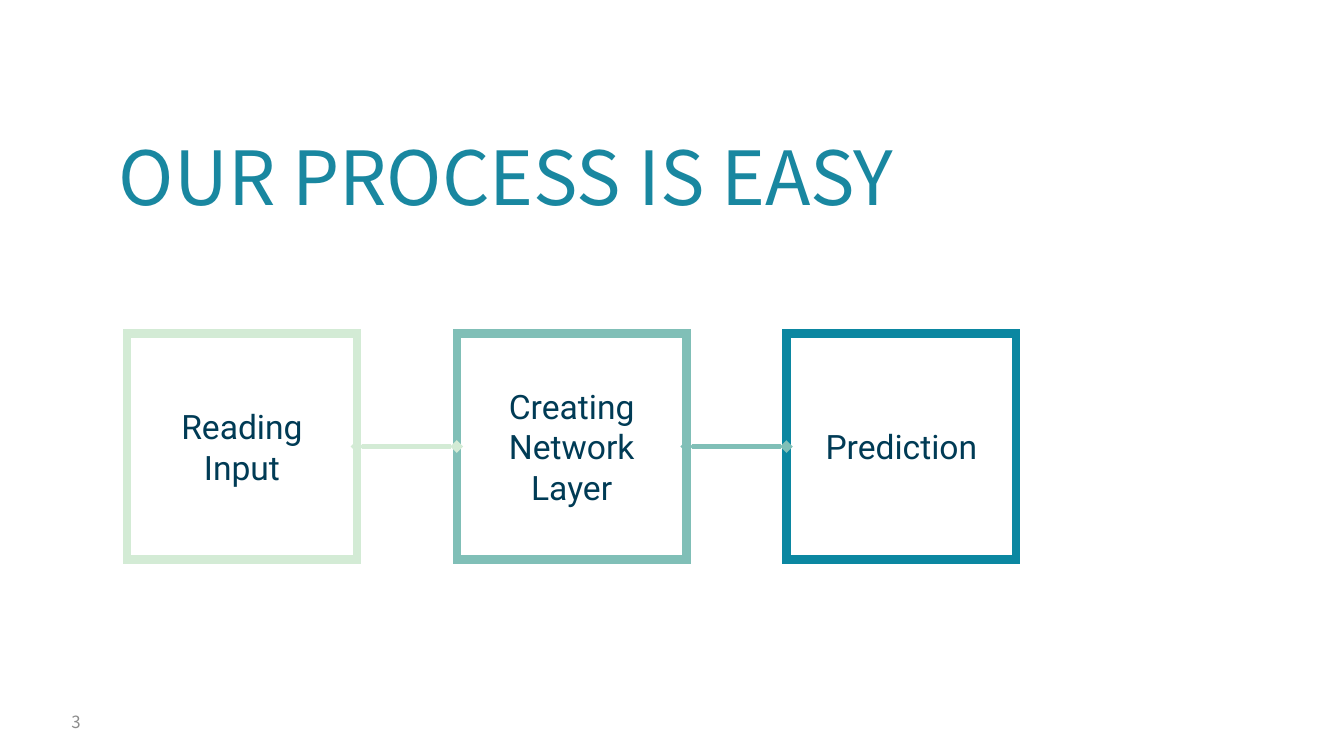
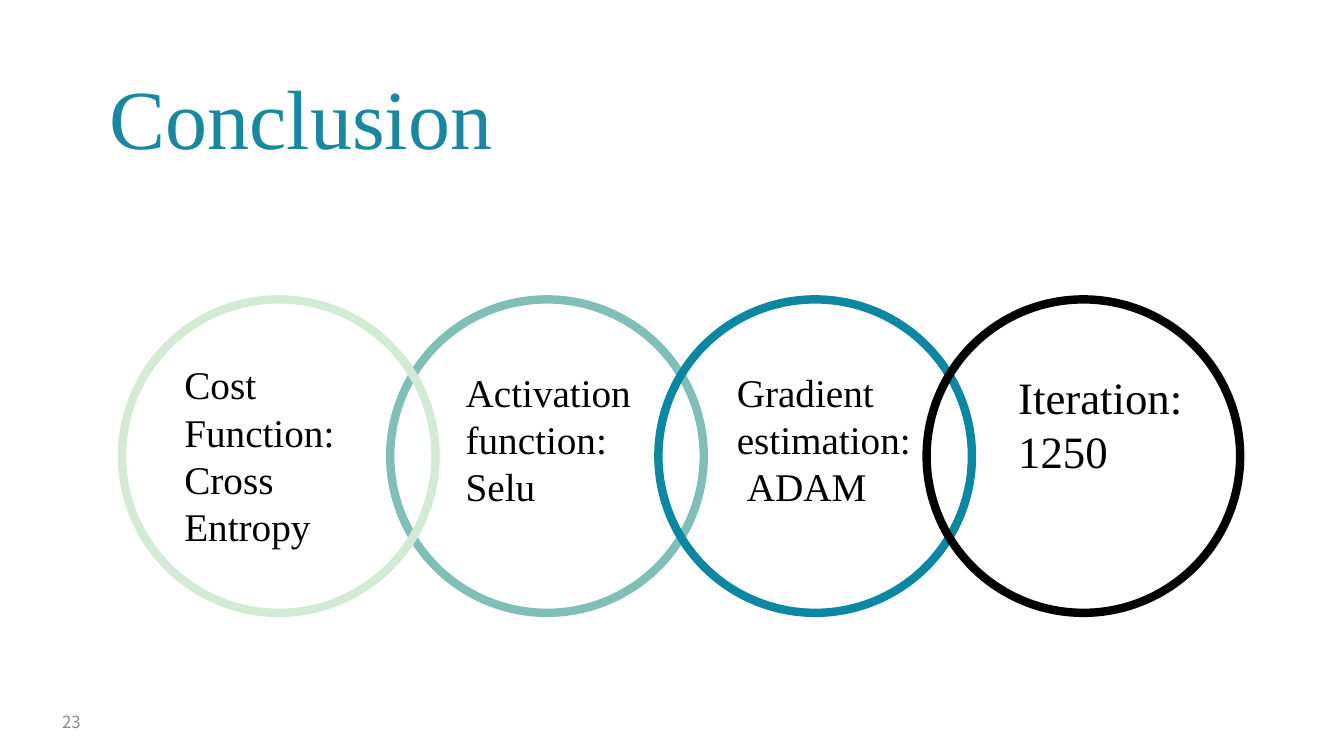
from lxml import etree
from pptx import Presentation, util as u
from pptx.dml.color import RGBColor
from pptx.enum import shapes, text
from pptx.oxml.ns import qn

MINT, SAGE, TEAL, BLACK = "D3EBD5", "80BFB7", "0B87A1", "000000"
HEAD, NAVY, GREY = "1987A0", "003B55", "8C8C8C"
SANS, BODY, SERIF = "Noto Sans CJK SC", "Roboto", "Times New Roman"
LEFT, MID, RIGHT = text.PP_ALIGN.LEFT, text.PP_ALIGN.CENTER, text.PP_ALIGN.RIGHT
KIND = shapes.MSO_SHAPE

deck = Presentation()
deck.slide_width, deck.slide_height = u.Inches(13.33), u.Inches(7.5)


def write(shape, lines, size, face, color, align=LEFT, anchor="TOP", pad=(0.1, 0.05), lead=None):
    """Fill a shape with one paragraph per line; pad is (side, top) in inches."""
    frame = shape.text_frame
    frame.word_wrap = True
    frame.vertical_anchor = text.MSO_ANCHOR[anchor]
    frame.margin_left = frame.margin_right = u.Inches(pad[0])
    frame.margin_top = frame.margin_bottom = u.Inches(pad[1])
    frame.text = "\n".join(lines)
    for para in frame.paragraphs:
        para.alignment = align
        if lead:
            para.line_spacing = lead
        para.font.size, para.font.name = u.Pt(size), face
        para.font.color.rgb = RGBColor.from_string(color)
    return frame


def stroke(shape, color, width, **ends):
    """Draw a plain outline without shadow; ends maps line tags to their type."""
    shape.line.color.rgb = RGBColor.from_string(color)
    shape.line.width = u.Pt(width)
    line = shape.line._get_or_add_ln()
    etree.SubElement(line, qn("a:miter"), lim="800000")
    for tag, kind in ends.items():
        etree.SubElement(line, qn("a:" + tag), type=kind)
    etree.SubElement(shape._element.spPr, qn("a:effectLst"))


# Shared frame: title and page number
PAD = (0.13, 0.13)
pages = []
for title, page, spot, style in [
    ("OUR PROCESS IS EASY", "3", (1.05, 1.08, 9.86, 1.25), (53.3, SANS, HEAD, LEFT, "BOTTOM", PAD)),
    ("Conclusion", "23", (0.99, 0.71, 5.54, 1.11), (60, SERIF, HEAD)),
]:
    slide = deck.slides.add_slide(deck.slide_layouts[6])
    write(slide.shapes.add_textbox(*map(u.Inches, spot)), [title], *style, lead=0.9)
    foot = slide.shapes.add_textbox(*map(u.Inches, (0.13, 6.88, 0.8, 0.57)))
    write(foot, [page], 12, SANS, GREY, RIGHT, "MIDDLE", PAD)
    pages.append(slide.shapes)
flow, rings = pages

# Process: three boxes joined by lines
steps = [
    (["Reading", "Input"], MINT),
    (["Creating", "Network", "Layer"], SAGE),
    (["Prediction"], TEAL),
]
boxes = []
for col, (lines, color) in enumerate(steps):
    spot = (1.26 + 3.27 * col, 3.31, 2.28, 2.24)
    box = flow.add_shape(KIND.RECTANGLE, *map(u.Inches, spot))
    box.fill.background()
    stroke(box, color, 6)
    write(box, lines, 24, BODY, NAVY, MID, "MIDDLE", PAD)
    boxes.append(box)
for start, stop, (_, color) in zip(boxes, boxes[1:], steps):
    link = flow.add_connector(shapes.MSO_CONNECTOR.STRAIGHT, 0, 0, 0, 0)
    link.begin_connect(start, 3)
    link.end_connect(stop, 1)
    stroke(link, color, 3, headEnd="diamond", tailEnd="diamond")

# Conclusion: four overlapping rings, the second one at the back
for col, color in [(1, SAGE), (0, MINT), (2, TEAL), (3, BLACK)]:
    spot = (1.21 + 2.66 * col, 2.97, 3.11, 3.11)
    ring = rings.add_shape(KIND.OVAL, *map(u.Inches, spot))
    ring.fill.background()
    stroke(ring, color, 6)

for lines, size, wrap, spot in [
    (["Cost Function:", "Cross Entropy"], 28, True, (1.73, 3.53, 1.91, 1.99)),
    (["Activation", "function:", "Selu"], 28, False, (4.52, 3.6, 1.96, 1.51)),
    (["Gradient", "estimation:", "ADAM"], 28, False, (7.21, 3.6, 1.94, 1.51)),
    (["Iteration:", "1250"], 32, True, (10, 3.62, 1.85, 1.18)),
]:
    frame = write(rings.add_textbox(*map(u.Inches, spot)), lines, size, SERIF, BLACK)
    frame.word_wrap = wrap
    frame.auto_size = text.MSO_AUTO_SIZE.SHAPE_TO_FIT_TEXT
    if lines[-1] == "ADAM":
        inset = frame.paragraphs[-1]._p.get_or_add_pPr()
        inset.set("marL", str(u.Inches(0.1)))

deck.save("out.pptx")
